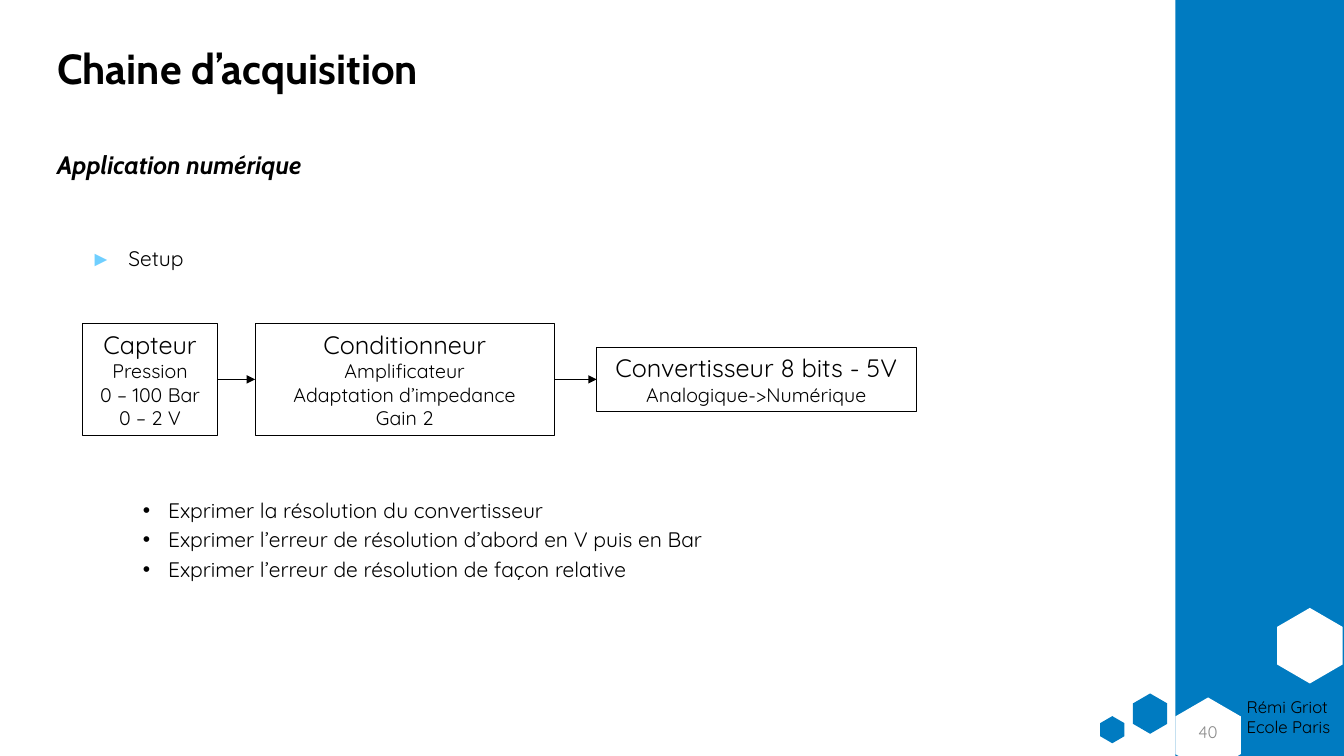
import pptx
import pptx.dml.color
import pptx.enum.shapes
import pptx.enum.text
import pptx.oxml
import pptx.oxml.ns
import pptx.util

Pt = pptx.util.Pt
SHAPES = pptx.enum.shapes.MSO_SHAPE
ALIGN = pptx.enum.text.PP_ALIGN
ANCHOR = pptx.enum.text.MSO_ANCHOR
BLUE, WHITE, BLACK, GREY, SKY = "007BC1", "FFFFFF", "000000", "8C8C8C", "6FCFFF"


def color(value):
    return pptx.dml.color.RGBColor.from_string(value)


def add_element(parent, tag, **attributes):
    element = pptx.oxml.parse_xml(f"<a:{tag} {pptx.oxml.ns.nsdecls('a')}/>")
    for name, value in attributes.items():
        element.set(name, str(value))
    parent.append(element)
    return element


class SlideBuilder:
    """Holds the style and the current slide."""

    heading_font = "Cabin"
    body_font = "Quicksand"

    def __init__(self, slide):
        self.slide = slide

    def shape(self, kind, left, top, width, height, fill=None, line=None):
        shape = self.slide.shapes.add_shape(kind, Pt(left), Pt(top), Pt(width), Pt(height))
        shape.shadow.inherit = False
        if fill:
            shape.fill.solid()
            shape.fill.fore_color.rgb = color(fill)
        else:
            shape.fill.background()
        if line:
            shape.line.color.rgb = color(line)
            shape.line.width = Pt(0.75)
        else:
            shape.line.fill.background()
        return shape

    def hexagon(self, left, top, width, height, fill):
        hexagon = self.shape(SHAPES.HEXAGON, left, top, width, height, fill)
        hexagon.adjustments[0] = 0.29
        hexagon.rotation = 90

    def fill_text(self, frame, lines, sizes, font=None, text_color=BLACK, bold=False,
                  italic=False, align=ALIGN.LEFT, anchor=ANCHOR.TOP, spacing=1.0, before=0):
        """Add one paragraph per line; the last size serves all further lines."""
        frame.word_wrap = True
        frame.vertical_anchor = anchor
        for index, line in enumerate(lines):
            paragraph = frame.paragraphs[0] if index == 0 else frame.add_paragraph()
            paragraph.alignment = align
            paragraph.line_spacing = spacing
            paragraph.space_before = Pt(before)
            run = paragraph.add_run()
            run.text = line
            run.font.name = font or self.body_font
            run.font.size = Pt(sizes[min(index, len(sizes) - 1)])
            run.font.bold = bold
            run.font.italic = italic
            run.font.color.rgb = color(text_color)

    def text(self, left, top, width, height, lines, size, **style):
        box = self.slide.shapes.add_textbox(Pt(left), Pt(top), Pt(width), Pt(height))
        self.fill_text(box.text_frame, lines, [size], **style)
        return box

    def bullets(self, left, top, width, height, lines, before, bullet, margin, hanging,
                bullet_color=BLACK):
        box = self.text(left, top, width, height, lines, 15, spacing=0.9, before=before)
        for paragraph in box.text_frame.paragraphs:
            properties = paragraph._p.get_or_add_pPr()
            properties.set("marL", str(Pt(margin)))
            properties.set("indent", str(-Pt(hanging)))
            add_element(add_element(properties, "buClr"), "srgbClr", val=bullet_color)
            add_element(properties, "buFont", typeface="Arial")
            add_element(properties, "buChar", char=bullet)

    def block(self, left, width, height, lines, middle):
        block = self.shape(SHAPES.RECTANGLE, left, middle - height / 2, width, height, line=BLACK)
        self.fill_text(block.text_frame, lines, [18, 14], align=ALIGN.CENTER,
                       anchor=ANCHOR.MIDDLE)

    def arrow(self, start, end, middle):
        arrow = self.slide.shapes.add_connector(
            pptx.enum.shapes.MSO_CONNECTOR.STRAIGHT, Pt(start), Pt(middle), Pt(end), Pt(middle))
        arrow.line.color.rgb = color(BLACK)
        arrow.line.width = Pt(0.5)
        add_element(arrow.line._get_or_add_ln(), "tailEnd", type="triangle")
        add_element(arrow._element.spPr, "effectLst")


def main():
    presentation = pptx.Presentation()
    presentation.slide_width, presentation.slide_height = Pt(960), Pt(540)
    builder = SlideBuilder(presentation.slides.add_slide(presentation.slide_layouts[6]))

    # Side band and hexagons
    builder.shape(SHAPES.RECTANGLE, 839.5, 0, 120.5, 540, fill=BLUE)
    for left, top, width, height, fill in [
        (908.6, 437.8, 54, 46.8, WHITE),
        (807.1, 497.5, 28.8, 24.5, BLUE),
        (784.8, 512.6, 19.4, 17.3, BLUE),
        (835.9, 501.8, 54, 46.8, WHITE),
    ]:
        builder.hexagon(left, top, width, height, fill)

    # Author and page number
    builder.text(883.4, 493.9, 79.2, 36, ["Rémi Griot", "Ecole Paris"], 12)
    builder.text(839.5, 508.3, 46.8, 28.8, ["40"], 12, text_color=GREY,
                 align=ALIGN.CENTER, anchor=ANCHOR.MIDDLE)

    # Headings
    heading = {"font": builder.heading_font, "bold": True, "spacing": 0.9}
    builder.text(33.8, -1.4, 779, 104.4, ["Chaine d’acquisition"], 30,
                 anchor=ANCHOR.MIDDLE, **heading)
    builder.text(33.8, 105.8, 631.4, 28.8, ["Application numérique"], 18,
                 italic=True, before=10, **heading)
    builder.bullets(57.6, 174.2, 481, 36.7, ["Setup"], 10, "►", 27, 27, SKY)

    # Acquisition chain: blocks joined by arrows
    middle = 271
    chain = [
        (59, 96.5, 80, ["Capteur", "Pression", "0 – 100 Bar", "0 – 2 V"]),
        (182.2, 213.8, 80, ["Conditionneur", "Amplificateur", "Adaptation d’impedance", "Gain 2"]),
        (426.2, 228.2, 46, ["Convertisseur 8 bits - 5V", "Analogique->Numérique"]),
    ]
    for left, width, height, lines in chain:
        builder.block(left, width, height, lines, middle)
    for source, target in zip(chain, chain[1:]):
        builder.arrow(source[0] + source[1], target[0], middle)

    # Questions
    builder.bullets(59, 353.5, 481, 138.2, [
        "Exprimer la résolution du convertisseur",
        "Exprimer l’erreur de résolution d’abord en V puis en Bar",
        "Exprimer l’erreur de résolution de façon relative",
    ], 5, "•", 54, 18)

    presentation.save("out.pptx")


if __name__ == "__main__":
    main()
